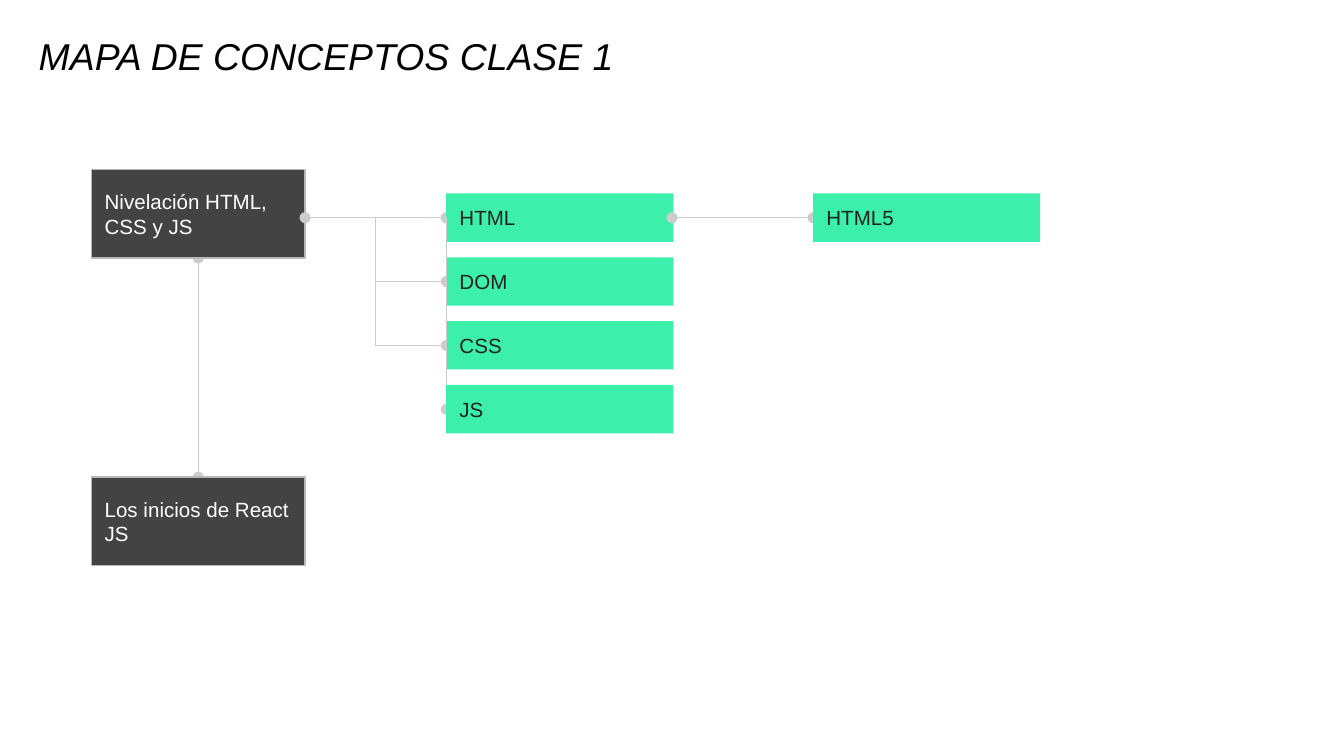
from lxml import etree
from pptx import Presentation
from pptx import util as u
from pptx.dml.color import RGBColor
from pptx.enum import shapes, text
from pptx.oxml.ns import qn

DARK, EDGE, GREEN, INK, GREY = "434343", "B7B7B7", "3CEFAB", "222222", "CCCCCC"
BOX_H, TOPIC_H, TOPIC_W = 0.66, 0.36, 1.69
ROW_STEP = 0.95 / 2


def rgb(value):
    return RGBColor.from_string(value)


def write(sp, words, size, color, anchor, italic=None):
    tf = sp.text_frame
    tf.word_wrap = True
    tf.vertical_anchor = anchor
    tf.margin_left = tf.margin_right = u.Inches(0.1)
    tf.margin_top = tf.margin_bottom = u.Inches(0.1)
    p = tf.paragraphs[0]
    p.alignment = text.PP_ALIGN.LEFT
    r = p.add_run()
    r.text = words
    r.font.name = "Arial"
    r.font.size = u.Pt(size)
    r.font.italic = italic
    r.font.color.rgb = rgb(color)


def add_box(s, words, x, y, w, h, fill, color, edge=None):
    sp = s.shapes.add_shape(shapes.MSO_SHAPE.RECTANGLE, *map(u.Inches, (x, y, w, h)))
    sp.shadow.inherit = False
    sp.fill.solid()
    sp.fill.fore_color.rgb = rgb(fill)
    if edge:
        sp.line.color.rgb = rgb(edge)
        sp.line.width = u.Pt(0.75)
    else:
        sp.line.fill.background()
    write(sp, words, 11, color, text.MSO_ANCHOR.MIDDLE)


def add_link(s, x1, y1, x2, y2, bend=None, head=True):
    """Line ending in a dot; bend is the share of the width where it turns."""
    kind = shapes.MSO_CONNECTOR.STRAIGHT if bend is None else shapes.MSO_CONNECTOR.ELBOW
    cn = s.shapes.add_connector(kind, *map(u.Inches, (x1, y1, x2, y2)))
    cn.line.color.rgb = rgb(GREY)
    cn.line.width = u.Pt(0.75)
    sppr = cn._element.spPr
    ends = ("headEnd", "tailEnd") if head else ("tailEnd",)
    for end in ends:
        etree.SubElement(sppr.find(qn("a:ln")), qn("a:" + end), type="oval")
    etree.SubElement(sppr, qn("a:effectLst"))
    if bend is not None:
        guides = sppr.find(qn("a:prstGeom")).get_or_add_avLst()
        etree.SubElement(guides, qn("a:gd"), name="adj1", fmla=f"val {int(bend * 100000)}")


def add_title(s, x, y, w, h):
    sp = s.shapes.add_textbox(*map(u.Inches, (x, y, w, h)))
    write(sp, "MAPA DE CONCEPTOS CLASE 1", 20, "000000", text.MSO_ANCHOR.BOTTOM, True)


def add_units(s, x, y, w, h):
    """Two class units joined by a vertical line."""
    low = y + h - BOX_H
    add_link(s, x + w / 2, y + BOX_H, x + w / 2, low)
    add_box(s, "Los inicios de React JS", x, low, w, BOX_H, DARK, "FFFFFF", EDGE)
    add_box(s, "Nivelación HTML, CSS y JS", x, y, w, BOX_H, DARK, "FFFFFF", EDGE)


def add_topics(s, x, y, gap):
    """Topics branching from a start point, which lies gap to their left."""
    mid = y + TOPIC_H / 2
    left = x + gap
    for i, (words, bend) in enumerate([("HTML", None), ("DOM", 0.5), ("CSS", 0.5), ("JS", 1)]):
        top = y + i * ROW_STEP
        if words == "JS":
            # Subtopic to the right of the first topic
            start = left + TOPIC_W - 0.01
            add_link(s, start, mid, start + gap, mid)
            add_box(s, "HTML5", start + gap, y, TOPIC_W, TOPIC_H, GREEN, INK)
        add_link(s, x, mid, left, top + TOPIC_H / 2, bend, head=bend is None)
        add_box(s, words, left, top, TOPIC_W, TOPIC_H, GREEN, INK)


def main():
    prs = Presentation()
    prs.slide_width = u.Inches(10)
    prs.slide_height = prs.slide_width * 9 // 16
    s = prs.slides.add_slide(prs.slide_layouts[6])
    add_title(s, 0.19, 0.22, 8.26, 0.46)
    add_units(s, 0.68, 1.26, 1.59, 2.95)
    add_topics(s, 2.27, 1.44, 1.05)
    prs.save("out.pptx")


if __name__ == "__main__":
    main()
